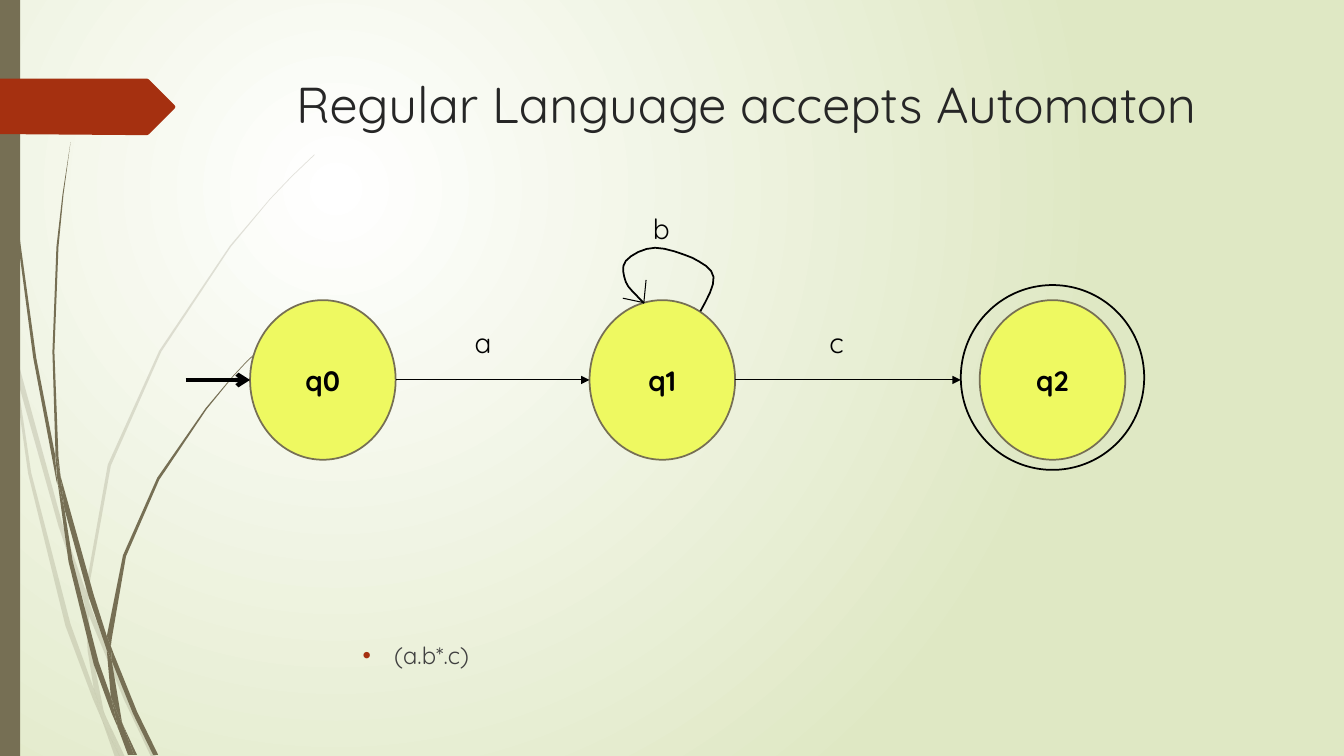
from lxml import etree
from pptx import Presentation
from pptx.dml.color import RGBColor
from pptx.enum.shapes import MSO_CONNECTOR, MSO_SHAPE
from pptx.enum.text import MSO_ANCHOR, PP_ALIGN
from pptx.oxml.ns import qn
from pptx.util import Pt

OVAL = MSO_SHAPE.OVAL
RECTANGLE = MSO_SHAPE.RECTANGLE
STRAIGHT = MSO_CONNECTOR.STRAIGHT
CENTER = PP_ALIGN.CENTER
LEFT = PP_ALIGN.LEFT
TOP = MSO_ANCHOR.TOP
MIDDLE = MSO_ANCHOR.MIDDLE

FONT = "Quicksand"
COLORS = {
    "white": "FFFFFF", "sage": "DFE8C4", "olive": "766F54", "rust": "A53010",
    "title": "262626", "body": "404040", "black": "000000", "yellow": "EEF961",
}
GRID = 0.72
CURVE_STEPS = 4

PALE_STALKS = [
    "11 350 9 322 0 282 0 299 10 344",
    "58 522 84 599 85 586 62 520 14 345 17 376",
    "92 607 88 596 88 610 123 694 150 751 155 751 127 692",
    "119 751 124 751 105 711",
    "93 683 70 619 31 469 17 376 11 350 28 470 65 621 92 693 101 714 99 707",
    "84 599 87 646 93 683 96 692 105 711 103 706 91 646 88 610 88 608",
    "88 584 110 462 160 349 229 245 268 198 290 175 312 154 312 153 289 175 268 197 228 244 158 348 107 461 85 584 85 586 88 596",
    "101 714 114 751 119 751",
    "88 608 88 610 88 596 85 586 84 599",
    "96 692 93 683 99 707 101 714 119 751 105 711",
]
DARK_STALKS = [
    "7 110 17 233 33 355 56 477 57 481 55 457 55 453 36 355 19 232 8 109 5 48 4 0 3 0 4 48",
    "88 592 106 645 106 633 106 631 93 590 60 472 64 505",
    "113 649 110 641 111 656 132 708 152 749 157 749 136 706",
    "110 691 98 657 72 556 64 505 57 477 68 557 93 659 111 708 117 722 116 717",
    "60 472 58 453 54 349 58 245 63 193 70 141 62 193 56 245 52 349 55 449",
    "133 749 136 749 122 719",
    "57 477 64 505 60 472 55 449 55 453",
    "111 633 125 552 158 476 205 406 231 374 245 359 261 344 260 344 245 358 231 373 204 405 156 474 122 551 106 631 110 641",
    "117 722 127 749 131 749",
    "106 645 110 691 116 706 122 719 121 716 111 656 109 651",
    "106 645 109 651 111 656 110 641 106 631 106 633",
    "116 706 110 691 116 717 117 722 130 749 133 749 122 719",
]
BANNER = "0 0 146 0 148 1 173 26 174 28 173 30 148 55 146 56 136 56 0 55"
SELF_LOOP = ("77 63 84 50 91 38 90 29 89 20 78 15 69 10 59 6 43 0 32 0 21 0 8 7 3 13 "
             "-2 19 1 28 3 34 5 40 13 46 16 50 19 53 20 54 21 55")


def color(name):
    return RGBColor.from_string(COLORS[name])


def paint(shape, fill=None, line=None, weight=1.25):
    shape.shadow.inherit = False
    if fill:
        shape.fill.solid()
        shape.fill.fore_color.rgb = color(fill)
    else:
        shape.fill.background()
    if line:
        shape.line.color.rgb = color(line)
        shape.line.width = Pt(weight)
    else:
        shape.line.fill.background()


def write(shape, text, size=20, shade="black", bold=False, align=LEFT, anchor=TOP, wrap=True):
    frame = shape.text_frame
    frame.word_wrap = wrap
    frame.vertical_anchor = anchor
    para = frame.paragraphs[0]
    para.alignment = align
    span = para.add_run()
    span.text = text
    span.font.name = FONT
    span.font.size = Pt(size)
    span.font.bold = bold
    span.font.color.rgb = color(shade)
    return para


def add_text(page, left, top, width, height, text, **style):
    box = page.shapes.add_textbox(Pt(left), Pt(top), Pt(width), Pt(height))
    return write(box, text, **style)


def add_shape(page, kind, left, top, width, height, **style):
    shape = page.shapes.add_shape(kind, Pt(left), Pt(top), Pt(width), Pt(height))
    paint(shape, **style)
    return shape


def read_points(numbers):
    values = [int(number) for number in numbers.split()]
    return list(zip(values[::2], values[1::2]))


def smooth_points(knots):
    points = [knots[0]]
    for first in range(0, len(knots) - 1, 3):
        bend = knots[first:first + 4]
        for step in range(1, CURVE_STEPS + 1):
            t = step / CURVE_STEPS
            weights = ((1 - t) ** 3, 3 * t * (1 - t) ** 2, 3 * t * t * (1 - t), t ** 3)
            points.append(tuple(sum(w * knot[axis] for w, knot in zip(weights, bend)) for axis in (0, 1)))
    return points


def add_outline(page, left, top, points, close=True, **style):
    spots = [(Pt(left + x * GRID), Pt(top + y * GRID)) for x, y in points]
    builder = page.shapes.build_freeform(*spots[0], scale=1.0)
    builder.add_line_segments(spots[1:], close=close)
    shape = builder.convert_to_shape()
    paint(shape, **style)
    return shape


def add_line(page, start, end, weight=0.75, head=None):
    line = page.shapes.add_connector(STRAIGHT, *[Pt(value) for value in start + end])
    line.line.color.rgb = color("black")
    line.line.width = Pt(weight)
    if head:
        etree.SubElement(line._element.spPr.find(qn("a:ln")), qn("a:tailEnd"), type=head)
    etree.SubElement(line._element.spPr, qn("a:effectLst"))


def draw_background(page):
    fill = page.background.fill
    fill.gradient()
    for stop, name in zip(fill.gradient_stops, ("white", "sage")):
        stop.color.rgb = color(name)
    gradient = next(page._element.iter(qn("a:gradFill")))
    gradient.remove(gradient.find(qn("a:lin")))
    focus = etree.Element(qn("a:path"), path="circle")
    etree.SubElement(focus, qn("a:fillToRect"), l="50000", t="50000", r="100000", b="100000")
    gradient.find(qn("a:gsLst")).addnext(focus)


def draw_decoration(page, left, top, height):
    for stalk in PALE_STALKS:
        shape = add_outline(page, left, top, read_points(stalk), fill="olive")
        etree.SubElement(next(shape._element.iter(qn("a:srgbClr"))), qn("a:alpha"), val="20000")
    for stalk in DARK_STALKS:
        add_outline(page, left, top, read_points(stalk), fill="olive")
    add_shape(page, RECTANGLE, left, top, 14.4, height, fill="olive")
    add_outline(page, left, top + 56.2, read_points(BANNER), fill="rust")


def draw_automaton(page, left, top):
    width, height = 104, 114
    middle = top + height / 2
    states = {"q0": left, "q1": left + 242.5, "q2": left + 521.2}
    for name, edge in states.items():
        oval = add_shape(page, OVAL, edge, top, width, height, fill="yellow", line="olive")
        write(oval, name, bold=True, align=CENTER, anchor=MIDDLE)
    ring = states["q2"] - 13.5
    add_shape(page, OVAL, ring, top - 10.8, 131, 132, line="black")
    add_line(page, (states["q0"] + width, middle), (states["q1"], middle), head="triangle")
    add_line(page, (states["q1"] + width, middle), (ring, middle), head="triangle")
    for text, x, y in (("a", 153.3, 14.4), ("c", 406.7, 14.4), ("b", 280.7, -67)):
        add_text(page, left + x, top + y, 29.5, 31.7, text, wrap=text != "b")
    loop_left, loop_top = states["q1"] + 23.8, top - 37.4
    loop = smooth_points(read_points(SELF_LOOP))
    add_outline(page, loop_left, loop_top, loop, close=False, line="black")
    tip = (loop_left + 15, loop_top + 39.2)
    add_line(page, (loop_left, loop_top + 36), tip)
    add_line(page, (loop_left + 16.6, loop_top + 23), tip)
    add_line(page, (left - 46, middle), (left, middle), weight=3, head="arrow")


def draw_expression(page, left, top):
    para = add_text(page, left, top, 702, 30, "(a.b*.c)", size=17, shade="body")
    props = para._p.get_or_add_pPr()
    props.set("marL", str(Pt(58.5)))
    props.set("indent", str(Pt(-22.5)))
    tint = etree.SubElement(props, qn("a:buClr"))
    etree.SubElement(tint, qn("a:srgbClr"), val=COLORS["rust"])
    etree.SubElement(props, qn("a:buFont"), typeface="Arial")
    etree.SubElement(props, qn("a:buChar"), char="•")


def main():
    deck = Presentation()
    deck.slide_width, deck.slide_height = Pt(960), Pt(540)
    page = deck.slides.add_slide(deck.slide_layouts[6])
    draw_background(page)
    draw_decoration(page, 0, 0, 540)
    add_text(page, 204.5, 49, 711.4, 100.8, "Regular Language accepts Automaton", size=36, shade="title")
    draw_expression(page, 216, 454.3)
    draw_automaton(page, 178.6, 214.4)
    deck.save("out.pptx")


if __name__ == "__main__":
    main()
